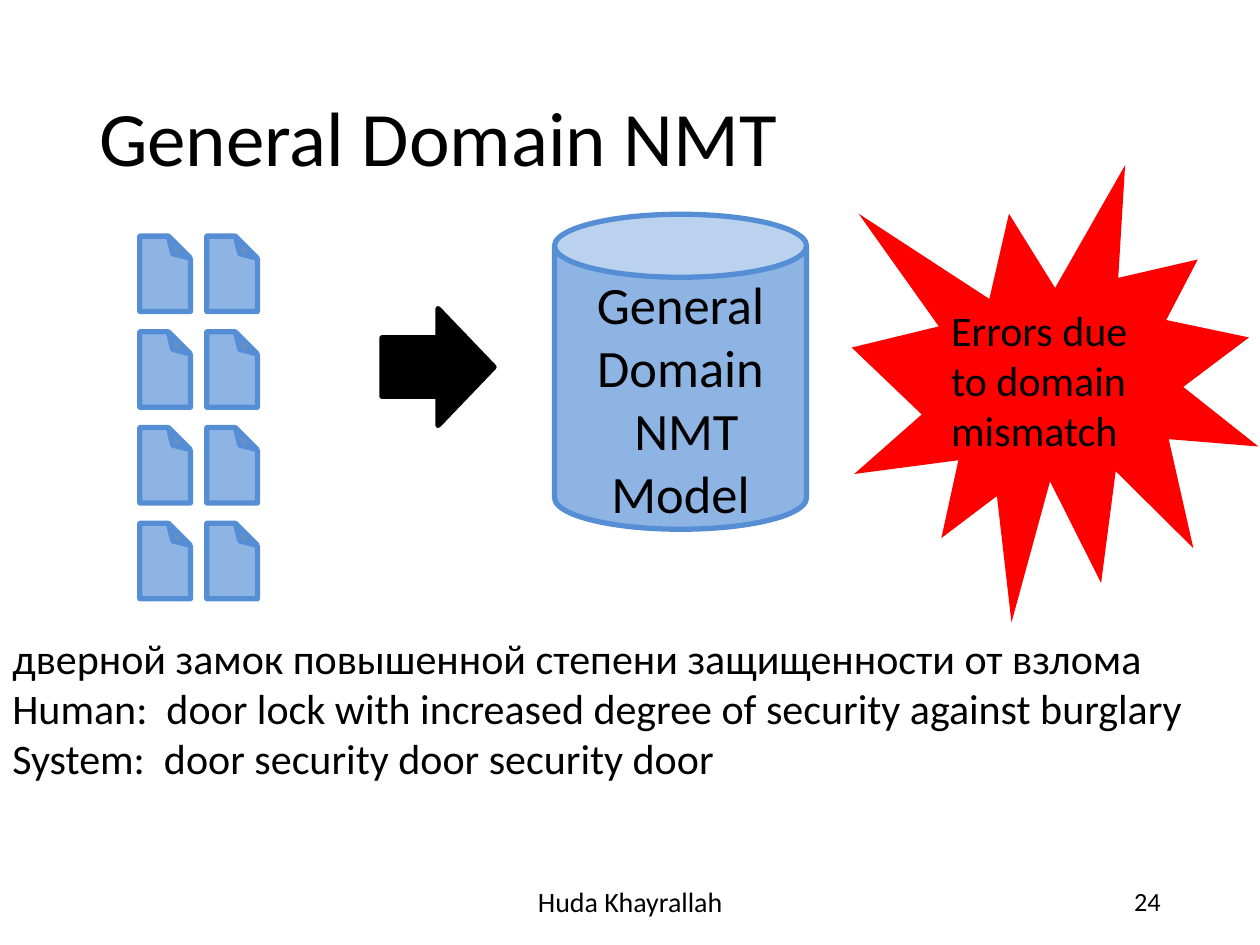
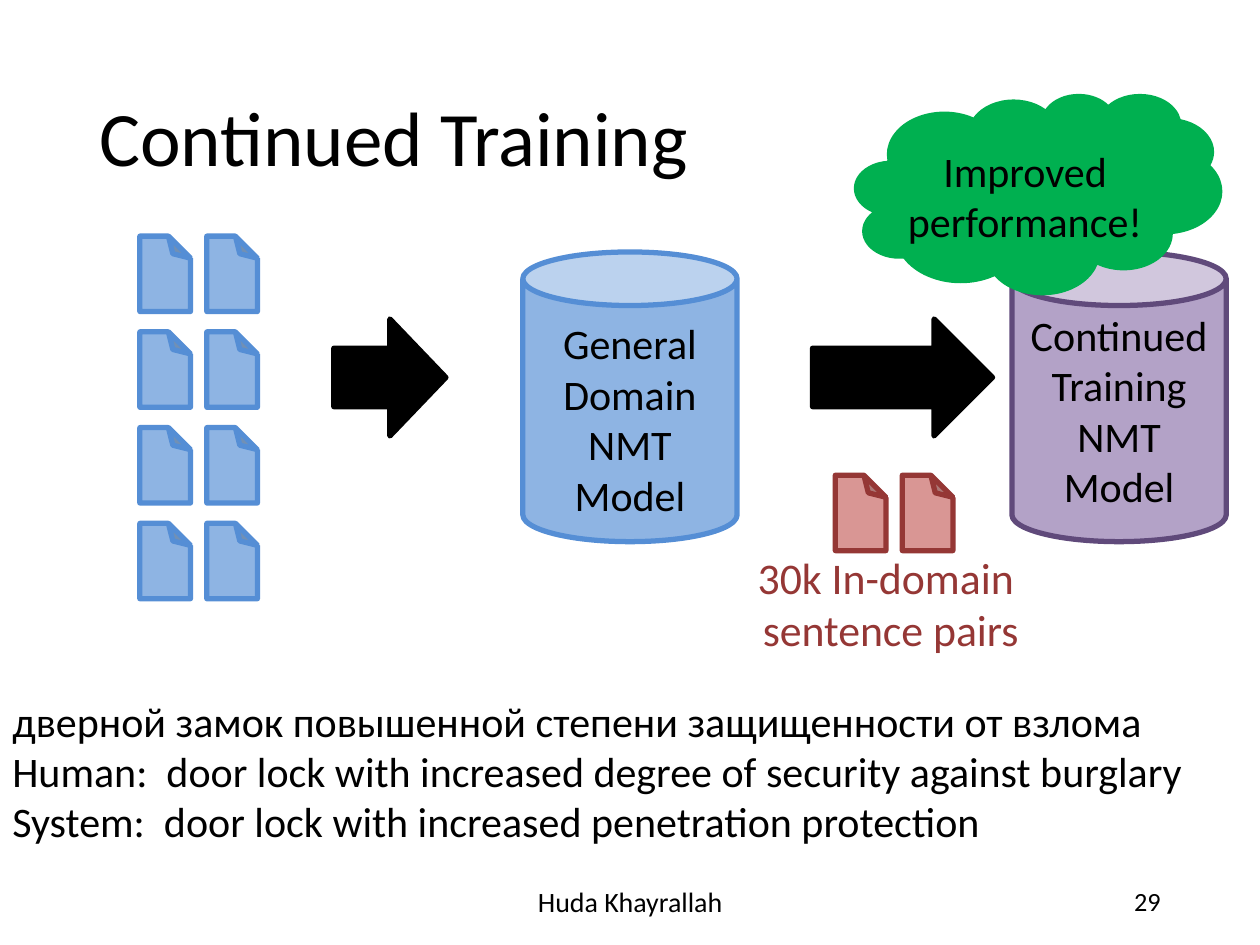
from lxml.etree import SubElement
from pptx import Presentation
from pptx.dml.color import RGBColor
from pptx.enum.shapes import MSO_SHAPE
from pptx.enum.text import MSO_ANCHOR, PP_ALIGN
from pptx.oxml.ns import qn
from pptx.util import Cm, Pt

BLACK = RGBColor(0x00, 0x00, 0x00)
RED = RGBColor(0xFF, 0x00, 0x00)
GREEN = RGBColor(0x00, 0xB0, 0x50)
BLUE = (RGBColor(0x8E, 0xB4, 0xE3), RGBColor(0x55, 0x8E, 0xD5))
PURPLE = (RGBColor(0xB3, 0xA2, 0xC7), RGBColor(0x60, 0x4A, 0x7B))
ROSE = (RGBColor(0xD9, 0x96, 0x94), RGBColor(0x95, 0x37, 0x35))
SOLID = (BLACK, BLACK)

FONT = "Calibri"
AUTHOR = "Huda Khayrallah"
SOURCE = [
    "дверной замок повышенной степени защищенности от взлома",
    "Human:  door lock with increased degree of security against burglary",
]
LEFT, CENTER, RIGHT = PP_ALIGN.LEFT, PP_ALIGN.CENTER, PP_ALIGN.RIGHT

SLIDES = [
    {
        "title": "General Domain NMT",
        "number": "24",
        "system": "System:  door security door security door",
        "sample": 12.62,
        "shapes": [
            (MSO_SHAPE.CAN, (11.18, 4.32, 5.08, 6.35), BLUE,
             ["General Domain", " NMT Model"], 30, CENTER, 0.55),
            (MSO_SHAPE.EXPLOSION1, (17.17, 3.33, 8.2, 9.22), (RED, None),
             ["Errors due to domain mismatch"], 24, LEFT, 0.13),
            (MSO_SHAPE.RIGHT_ARROW, (7.7, 6.22, 2.26, 2.36), SOLID),
        ],
        "files": [(2.82, 4.76, 4, BLUE)],
        "labels": [],
    },
    {
        "title": "Continued Training",
        "number": "29",
        "system": "System:  door lock with increased penetration protection",
        "sample": 13.89,
        "shapes": [
            (MSO_SHAPE.RIGHT_ARROW, (6.73, 6.43, 2.26, 2.36), SOLID),
            (MSO_SHAPE.RIGHT_ARROW, (16.38, 6.43, 3.63, 2.36), SOLID),
            (MSO_SHAPE.CAN, (10.54, 5.08, 4.32, 5.84), BLUE,
             ["General Domain", "NMT", "Model"], 24, CENTER, 0.47),
            (MSO_SHAPE.CAN, (20.4, 5.08, 4.32, 5.84), PURPLE,
             ["Continued Training", "NMT", "Model"], 24, CENTER, 0.13),
            (MSO_SHAPE.CLOUD, (17.22, 1.88, 7.42, 4.06), (GREEN, None),
             ["Improved", "performance!"], 24, CENTER, 0.25),
        ],
        "files": [(2.82, 4.76, 4, BLUE), (16.84, 9.58, 1, ROSE)],
        "labels": [((14.25, 10.97, 7.21, 2.39),
                    ["30k In-domain", " sentence pairs"], 25, ROSE[1])],
    },
]


def write(frame, lines, size, align=LEFT, color=BLACK):
    frame.word_wrap = True
    for num, line in enumerate(lines):
        para = frame.add_paragraph() if num else frame.paragraphs[0]
        para.alignment = align
        run = para.add_run()
        run.text = line
        run.font.name = FONT
        run.font.size = Pt(size)
        run.font.color.rgb = color


def label(slide, place, lines, size, align=LEFT, color=BLACK, anchor=MSO_ANCHOR.MIDDLE):
    frame = slide.shapes.add_textbox(*map(Cm, place)).text_frame
    frame.vertical_anchor = anchor
    write(frame, lines, size, align, color)
    return frame


def draw(slide, kind, place, colors, lines=(), size=24, align=LEFT, inset=0.13):
    shape = slide.shapes.add_shape(kind, *map(Cm, place))
    fill, edge = colors
    shape.shadow.inherit = False
    shape.fill.solid()
    shape.fill.fore_color.rgb = fill
    if edge is None:
        shape.line.fill.background()
    else:
        shape.line.color.rgb = edge
        shape.line.width = Pt(3)
    frame = shape.text_frame
    frame.margin_top = Cm(inset)
    if kind == MSO_SHAPE.CLOUD:
        frame.margin_left = frame.margin_right = frame.margin_bottom = 0
    write(frame, lines, size, align)
    return shape


def fold(page):
    props = page._element.spPr
    props.get_or_add_xfrm().set("flipH", "1")
    guides = props.find(qn("a:prstGeom")).get_or_add_avLst()
    SubElement(guides, qn("a:gd"), name="adj", fmla="val 43500")
    page.rotation = 180


def stack(slide, left, top, rows, colors):
    for row in range(rows):
        for col in range(2):
            place = (left + 1.35 * col, top + 1.93 * row, 1.02, 1.52)
            fold(draw(slide, MSO_SHAPE.FOLDED_CORNER, place, colors))


def build(deck, data):
    slide = deck.slides.add_slide(deck.slide_layouts[6])
    title = label(slide, (1.75, 1.02, 21.89, 3.68), [data["title"]], 44)
    title.paragraphs[0].line_spacing = 0.9
    for part in data["shapes"]:
        draw(slide, *part)
    for part in data["files"]:
        stack(slide, *part)
    for place, lines, size, color in data["labels"]:
        label(slide, place, lines, size, CENTER, color, MSO_ANCHOR.TOP)
    label(slide, (0, data["sample"], 25.37, 3.35), SOURCE + [data["system"]],
          24, anchor=MSO_ANCHOR.TOP)
    label(slide, (8.41, 17.65, 8.59, 1.02), [AUTHOR], 16, CENTER)
    label(slide, (17.93, 17.65, 5.72, 1.02), [data["number"]], 15, RIGHT)


def main():
    deck = Presentation()
    deck.slide_width, deck.slide_height = Cm(25.4), Cm(19.05)
    for data in SLIDES:
        build(deck, data)
    deck.save("out.pptx")


if __name__ == "__main__":
    main()
